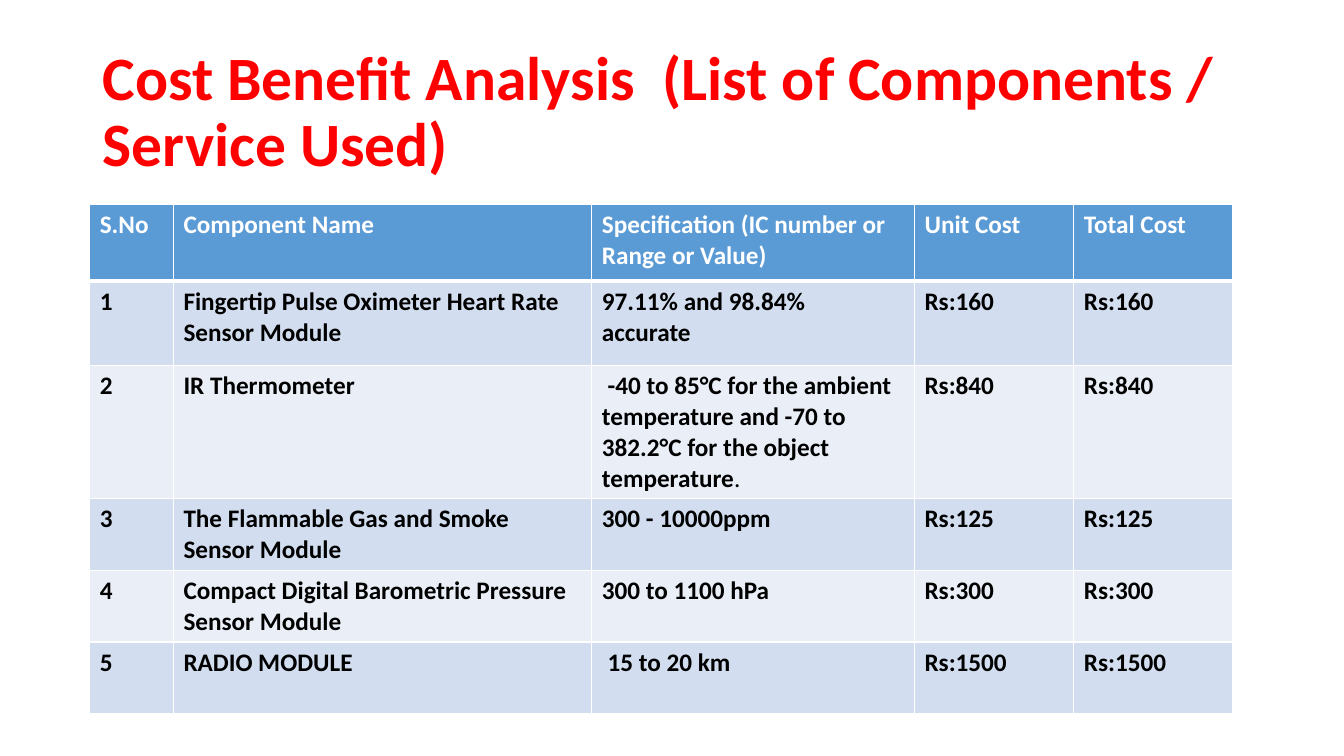
from lxml import etree
from pptx import Presentation
from pptx import util as u
from pptx.dml.color import RGBColor
from pptx.enum import text
from pptx.oxml import ns

HEADING = "Cost Benefit Analysis  (List of Components / Service Used)"
HEADERS = ["S.No", "Component Name", "Specification (IC number or Range or Value)",
           "Unit Cost", "Total Cost"]
COMPONENTS = [
    ("Fingertip Pulse Oximeter Heart Rate Sensor Module",
     [("97.11% and 98.84%  accurate", True)], 160),
    ("IR Thermometer",
     [(" ", False),
      ("-40 to 85°C for the ambient temperature and -70 to 382.2°C for the object temperature", True),
      (".", False)], 840),
    ("The Flammable Gas and Smoke Sensor Module", [("300 - 10000ppm", True)], 125),
    ("Compact Digital Barometric Pressure Sensor Module", [("300 to 1100 hPa", True)], 300),
    ("RADIO MODULE", [(" ", False), ("15 to 20 km", True)], 1500),
]
COLUMN_WIDTHS = [0.83, 4.15, 3.2, 1.58, 1.58]
ROW_HEIGHTS = [0.76, 0.84, 1.32, 0.71, 0.71, 0.71]
HEADING_BOX = (0.92, 0.4, 11.5, 1.45)
TABLE_CORNER = (0.89, 2.03)
HEADER_FILL, BAND_FILLS = "5B9BD5", ["D2DEEF", "EAEFF7"]
HEADING_FONT = {"name": "Calibri", "size": u.Pt(44)}
CELL_FONT = {"name": "Calibri", "size": u.Pt(18)}


def color(value):
    return RGBColor.from_string(value)


def write(paragraph, runs, font, ink):
    for words, bold in runs:
        run = paragraph.add_run()
        run.text = words
        for key, value in {**font, "bold": bold}.items():
            setattr(run.font, key, value)
        run.font.color.rgb = color(ink)


def border(cell, widths):
    properties = cell._tc.get_or_add_tcPr()
    for place, (side, points) in enumerate(widths.items()):
        line = etree.Element(ns.qn(f"a:ln{side}"), w=str(u.Pt(points)))
        fill = etree.SubElement(line, ns.qn("a:solidFill"))
        etree.SubElement(fill, ns.qn("a:srgbClr"), val="FFFFFF")
        properties.insert(place, line)


def add_heading(slide):
    frame = slide.shapes.add_textbox(*map(u.Inches, HEADING_BOX)).text_frame
    frame.word_wrap = True
    frame.vertical_anchor = text.MSO_ANCHOR.MIDDLE
    frame.paragraphs[0].line_spacing = 0.9
    write(frame.paragraphs[0], [(HEADING, True)], HEADING_FONT, "FF0000")


def add_costs(slide):
    rows = [[[(header, True)] for header in HEADERS]]
    for number, (component, specification, cost) in enumerate(COMPONENTS, 1):
        price = [(f"Rs:{cost}", True)]
        rows.append([[(str(number), True)], [(component, True)], specification, price, price])
    size = (sum(COLUMN_WIDTHS), sum(ROW_HEIGHTS))
    costs = slide.shapes.add_table(len(rows), len(HEADERS),
                                   *map(u.Inches, TABLE_CORNER + size)).table
    for column, width in zip(costs.columns, COLUMN_WIDTHS):
        column.width = u.Inches(width)
    for r, (row, height) in enumerate(zip(rows, ROW_HEIGHTS)):
        costs.rows[r].height = u.Inches(height)
        fill = BAND_FILLS[(r - 1) % 2] if r else HEADER_FILL
        for c, runs in enumerate(row):
            cell = costs.cell(r, c)
            cell.fill.solid()
            cell.fill.fore_color.rgb = color(fill)
            border(cell, {"L": 1, "R": 1, "T": 3 if r == 1 else 1, "B": 1 if r else 3})
            write(cell.text_frame.paragraphs[0], runs, CELL_FONT, "000000" if r else "FFFFFF")


def main():
    deck = Presentation()
    deck.slide_width, deck.slide_height = u.Inches(13.33), u.Inches(7.5)
    slide = deck.slides.add_slide(deck.slide_layouts[6])
    add_heading(slide)
    add_costs(slide)
    deck.save("out.pptx")


if __name__ == "__main__":
    main()
